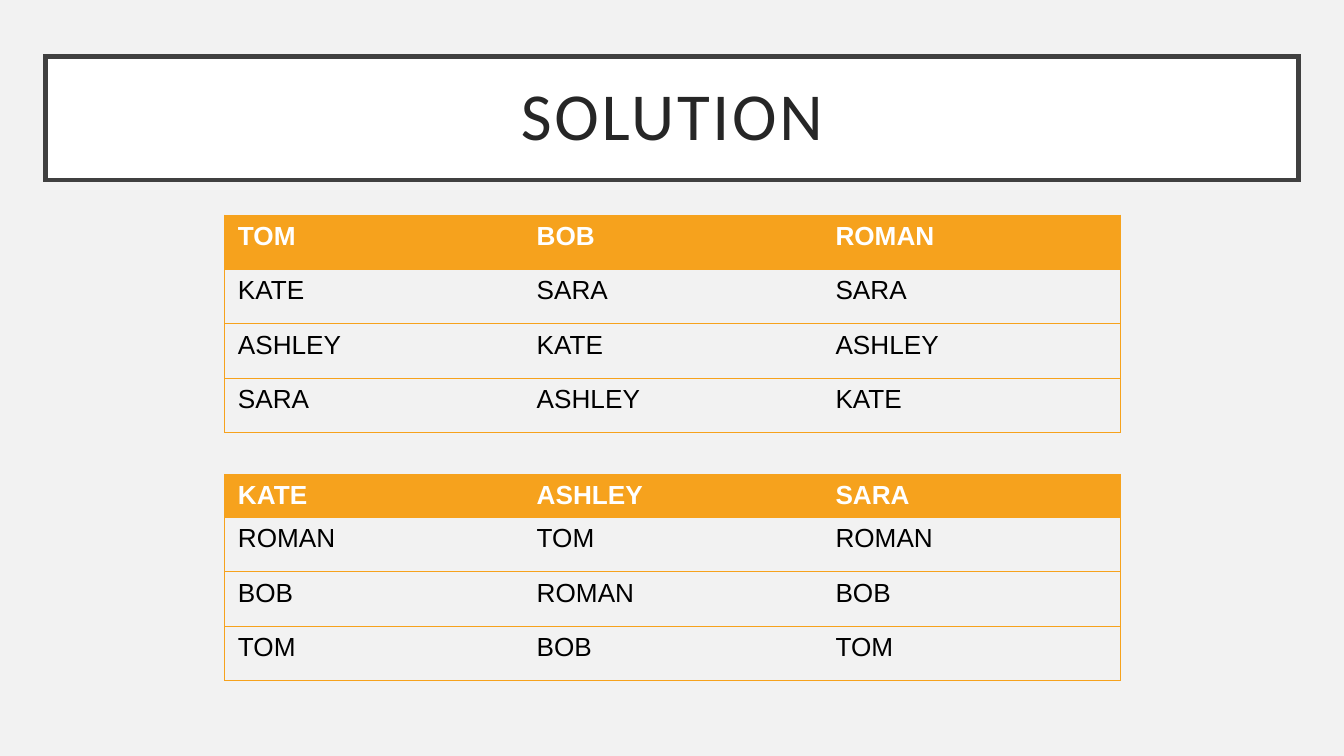
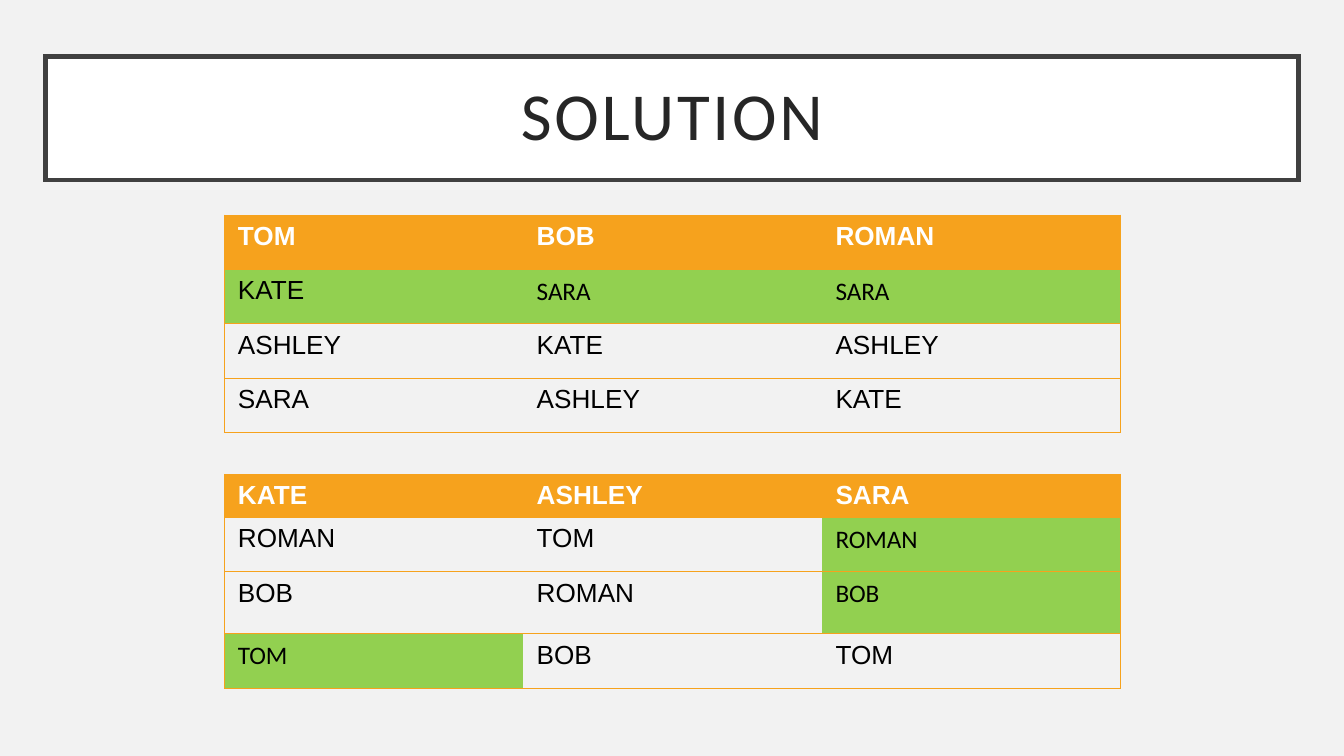
import pptx
import pptx.dml.color
import pptx.enum.text
import pptx.oxml
import pptx.oxml.ns
import pptx.util
from pptx.util import Inches

COLORS = {
    "background": "F2F2F2",
    "white": "FFFFFF",
    "frame": "404040",
    "title": "262626",
    "orange": "F6A21D",
    "green": "92D050",
    "black": "000000",
}
TABLE_FONT = ("Arial", 14)
MARKED_FONT = ("Calibri", 13.5)
PLAIN_TABLE_STYLE = "{2D5ABB26-0587-4C30-8999-92F81FD0307C}"
TABLE_LEFT, TABLE_WIDTH = 1.67, 6.67
HEADER_HEIGHT, ROW_HEIGHT, TALL_ROW_HEIGHT = 0.32, 1.62 / 4, 0.46

MEN_CHOICES = [
    ["TOM", "BOB", "ROMAN"],
    ["KATE", "SARA", "SARA"],
    ["ASHLEY", "KATE", "ASHLEY"],
    ["SARA", "ASHLEY", "KATE"],
]
WOMEN_CHOICES = [
    ["KATE", "ASHLEY", "SARA"],
    ["ROMAN", "TOM", "ROMAN"],
    ["BOB", "ROMAN", "BOB"],
    ["TOM", "BOB", "TOM"],
]


def rgb(name):
    return pptx.dml.color.RGBColor.from_string(COLORS[name])


class SolutionDeck:
    def __init__(self):
        self.deck = pptx.Presentation()
        self.deck.slide_width = Inches(10)
        self.deck.slide_height = Inches(10) * 9 // 16
        fill = self.deck.slide_master.background.fill
        fill.solid()
        fill.fore_color.rgb = rgb("background")
        self.page = None

    def add_page(self, title):
        self.page = self.deck.slides.add_slide(self.deck.slide_layouts[5])
        self.add_title(title)

    def add_title(self, text):
        box = self.page.shapes.title
        box.left, box.top = Inches(0.34), Inches(0.42)
        box.width, box.height = Inches(9.32), Inches(0.92)
        box.fill.solid()
        box.fill.fore_color.rgb = rgb("white")
        box.line.color.rgb = rgb("frame")
        box.line.width = pptx.util.Pt(2.5)
        outline = box._element.spPr.find(pptx.oxml.ns.qn("a:ln"))
        outline.append(pptx.oxml.parse_xml(
            f'<a:miter {pptx.oxml.ns.nsdecls("a")} lim="800000"/>'))

        frame = box.text_frame
        frame.word_wrap = True
        frame.auto_size = pptx.enum.text.MSO_AUTO_SIZE.NONE
        frame.vertical_anchor = pptx.enum.text.MSO_ANCHOR.MIDDLE
        frame.margin_left = frame.margin_right = Inches(0.1)
        frame.margin_top = frame.margin_bottom = Inches(0.1)
        para = frame.paragraphs[0]
        para.alignment = pptx.enum.text.PP_ALIGN.CENTER
        para.line_spacing = 0.9
        self.set_font(para, ("Calibri", 36), "title")
        span = para.add_run()
        span.text = text
        span._r.get_or_add_rPr().set("spc", "150")

    def add_choices(self, top, names, heights, marked=None):
        """Draw a preference table; marked maps green (row, column) cells to fonts."""
        marked = marked or {}
        columns = len(names[0])
        table = self.page.shapes.add_table(
            len(names), columns, Inches(TABLE_LEFT), Inches(top),
            Inches(TABLE_WIDTH), Inches(sum(heights))).table
        table.horz_banding = False
        style = table._tbl.tblPr.find(pptx.oxml.ns.qn("a:tableStyleId"))
        style.text = PLAIN_TABLE_STYLE
        for row, height in zip(table.rows, heights):
            row.height = Inches(height)

        for r, row_names in enumerate(names):
            for c, name in enumerate(row_names):
                cell = table.cell(r, c)
                self.set_borders(cell, left=c == 0, right=c == columns - 1)
                self.set_fill(cell, "orange" if r == 0 else
                              "green" if (r, c) in marked else None)
                para = cell.text_frame.paragraphs[0]
                para.text = name
                self.set_font(para, marked.get((r, c), TABLE_FONT),
                              "white" if r == 0 else "black", bold=r == 0)

    def set_font(self, para, face, color, bold=False):
        name, size = face
        para.font.name = name
        para.font.size = pptx.util.Pt(size)
        para.font.bold = bold
        para.font.color.rgb = rgb(color)

    def set_fill(self, cell, color):
        if color is None:
            cell.fill.background()
        else:
            cell.fill.solid()
            cell.fill.fore_color.rgb = rgb(color)

    def set_borders(self, cell, left, right):
        """Rule the top and bottom, and the sides that are on the outside."""
        properties = cell._tc.get_or_add_tcPr()
        sides = {"lnL": left, "lnR": right, "lnT": True, "lnB": True}
        for side, visible in sides.items():
            paint = (f'<a:solidFill><a:srgbClr val="{COLORS["orange"]}"/></a:solidFill>'
                     if visible else "<a:noFill/>")
            properties.append(pptx.oxml.parse_xml(
                f'<a:{side} {pptx.oxml.ns.nsdecls("a")} w="{pptx.util.Pt(0.5)}">'
                f'{paint}</a:{side}>'))


def main():
    solution = SolutionDeck()
    men_heights = [ROW_HEIGHT] * 4
    women_heights = [HEADER_HEIGHT] + [ROW_HEIGHT] * 3
    stretched_heights = [HEADER_HEIGHT, ROW_HEIGHT, TALL_ROW_HEIGHT, ROW_HEIGHT]
    men_marked = {(1, 0): TABLE_FONT, (1, 1): MARKED_FONT, (1, 2): MARKED_FONT}
    women_marked = dict.fromkeys([(1, 2), (2, 2), (3, 0)], MARKED_FONT)

    for heights, men, women in [
        (women_heights, None, None),
        (stretched_heights, men_marked, women_marked),
    ]:
        solution.add_page("SOLUTION")
        solution.add_choices(1.6, MEN_CHOICES, men_heights, men)
        solution.add_choices(3.53, WOMEN_CHOICES, heights, women)
    solution.deck.save("out.pptx")


if __name__ == "__main__":
    main()
